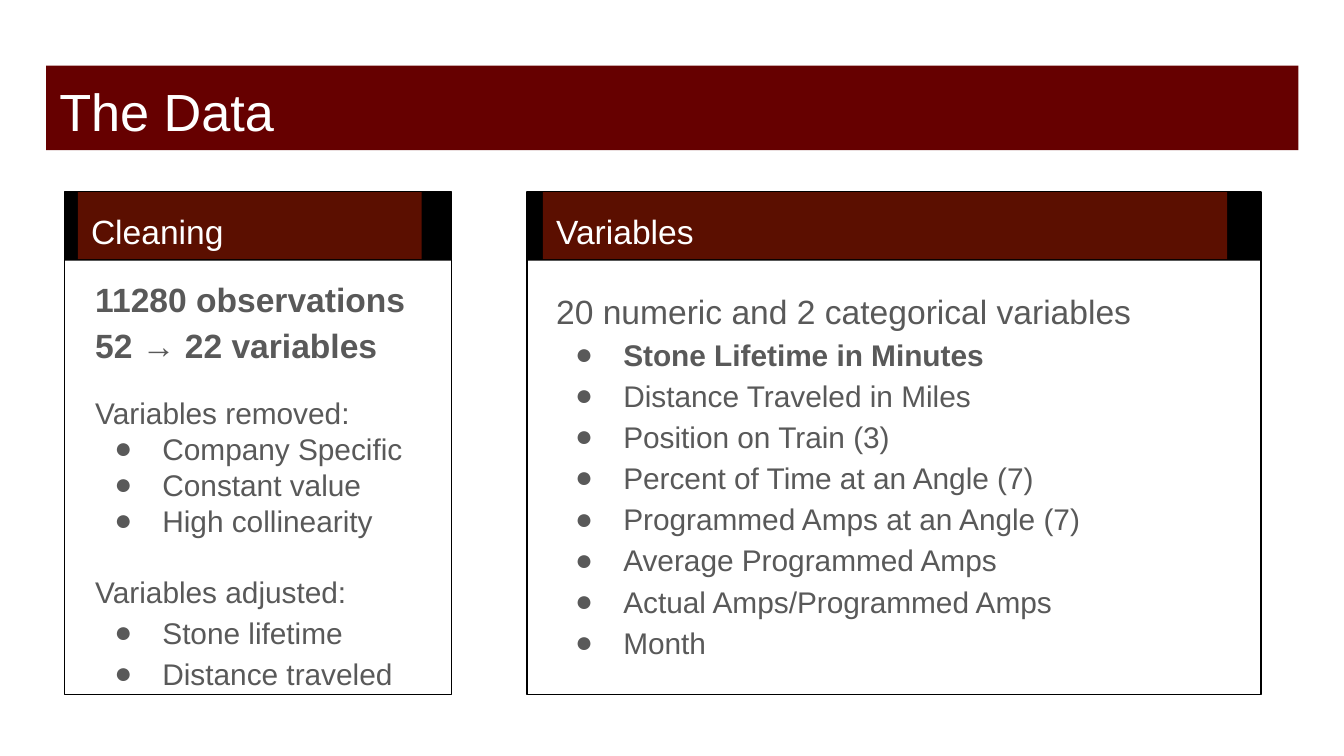
from dataclasses import dataclass

from lxml import etree
from pptx import Presentation
from pptx.dml.color import RGBColor
from pptx.enum.shapes import MSO_SHAPE
from pptx.enum.text import MSO_ANCHOR, MSO_AUTO_SIZE, PP_ALIGN
from pptx.oxml.ns import qn
from pptx.util import Cm, Pt

RECTANGLE = MSO_SHAPE.RECTANGLE
TOP = MSO_ANCHOR.TOP
LEFT = PP_ALIGN.LEFT
NO_AUTOFIT = MSO_AUTO_SIZE.NONE

FONT = "Arial"
COLORS = {
    "title": "660000",
    "header": "5B0F00",
    "frame": "000000",
    "light": "FFFFFF",
    "text": "595959",
}
COMPARISON_LAYOUT = 4
PANEL_TOP, PANEL_HEIGHT, BAND_HEIGHT, HEADER_HEIGHT = 3.63, 9.5, 1.3, 1.27
BODY_HEIGHT = 7.77


@dataclass
class Line:
    text: str
    size: int = 16
    bold: bool = False
    bullet: bool = False
    spacing: float = 1.15
    after: int = 0
    color: str = "text"


@dataclass
class Panel:
    """A framed column; positions are in centimetres."""
    left: float
    width: float
    header_left: float
    header_width: float
    body_left: float
    body_top: float
    body_width: float
    heading: str
    lines: list[Line]
    header_index: int
    body_index: int


PANELS = [
    Panel(1.22, 7.32, 1.47, 6.5, 1.55, 4.9, 6.78, "Cleaning", [
        Line("11280 observations", 18, bold=True),
        Line("52 → 22 variables", 18, bold=True, after=16),
        Line("Variables removed:", spacing=1),
        Line("Company Specific", bullet=True, spacing=1),
        Line("Constant value", bullet=True, spacing=1),
        Line("High collinearity", bullet=True, spacing=1, after=16),
        Line("Variables adjusted:"),
        Line("Stone lifetime", bullet=True),
        Line("Distance traveled", bullet=True, after=16),
    ], 1, 2),
    Panel(9.96, 13.87, 10.26, 12.93, 10.26, 5.13, 12.65, "Variables", [
        Line("20 numeric and 2 categorical variables", 18),
        Line("Stone Lifetime in Minutes", bold=True, bullet=True),
        Line("Distance Traveled in Miles", bullet=True),
        Line("Position on Train (3)", bullet=True),
        Line("Percent of Time at an Angle (7)", bullet=True),
        Line("Programmed Amps at an Angle (7)", bullet=True),
        Line("Average Programmed Amps", bullet=True),
        Line("Actual Amps/Programmed Amps", bullet=True),
        Line("Month", bullet=True, after=16),
    ], 3, 4),
]


def color_of(name: str) -> RGBColor:
    return RGBColor.from_string(COLORS[name])


def fill_shape(shape, color: str) -> None:
    shape.fill.solid()
    shape.fill.fore_color.rgb = color_of(color)


def set_bullet(para, bullet: bool, color: str) -> None:
    properties = para._p.get_or_add_pPr()
    properties.set("marL", str(Cm(1.27) if bullet else 0))
    properties.set("indent", str(Cm(-0.91) if bullet else 0))
    if not bullet:
        etree.SubElement(properties, qn("a:buNone"))
        return
    bullet_color = etree.SubElement(properties, qn("a:buClr"))
    etree.SubElement(bullet_color, qn("a:srgbClr"), val=COLORS[color])
    etree.SubElement(properties, qn("a:buFont"), typeface=FONT)
    etree.SubElement(properties, qn("a:buChar"), char="●")


def write_lines(box, lines: list[Line]) -> None:
    frame = box.text_frame
    frame.word_wrap = True
    frame.auto_size = NO_AUTOFIT
    frame.vertical_anchor = TOP
    frame.margin_left = frame.margin_right = Cm(0.25)
    frame.margin_top = frame.margin_bottom = Cm(0.25)
    for number, line in enumerate(lines):
        para = frame.add_paragraph() if number else frame.paragraphs[0]
        para.text = line.text
        para.alignment = LEFT
        para.line_spacing = line.spacing
        para.space_before = Pt(0)
        para.space_after = Pt(line.after)
        set_bullet(para, line.bullet, line.color)
        para.font.name = FONT
        para.font.size = Pt(line.size)
        para.font.bold = line.bold
        para.font.color.rgb = color_of(line.color)


def place(box, left: float, top: float, width: float, height: float) -> None:
    box.left, box.top = Cm(left), Cm(top)
    box.width, box.height = Cm(width), Cm(height)


def add_rectangle(slide, panel: Panel, height: float):
    """Add a panel-wide rectangle behind the placeholders."""
    box = slide.shapes.add_shape(
        RECTANGLE, Cm(panel.left), Cm(PANEL_TOP), Cm(panel.width), Cm(height))
    box.shadow.inherit = False
    slide.shapes.title.element.addprevious(box.element)
    return box


def draw_panel(slide, panel: Panel) -> None:
    band = add_rectangle(slide, panel, BAND_HEIGHT)
    fill_shape(band, "frame")
    band.line.fill.background()

    outline = add_rectangle(slide, panel, PANEL_HEIGHT)
    outline.fill.background()
    outline.line.color.rgb = color_of("frame")
    outline.line.width = Pt(0.75)

    header = slide.placeholders[panel.header_index]
    place(header, panel.header_left, PANEL_TOP, panel.header_width, HEADER_HEIGHT)
    fill_shape(header, "header")
    write_lines(header, [Line(panel.heading, 18, color="light")])

    body = slide.placeholders[panel.body_index]
    place(body, panel.body_left, panel.body_top, panel.body_width, BODY_HEIGHT)
    write_lines(body, panel.lines)


def main() -> None:
    deck = Presentation()
    deck.slide_width, deck.slide_height = Cm(25.4), Cm(14.29)
    slide = deck.slides.add_slide(deck.slide_layouts[COMPARISON_LAYOUT])

    title = slide.shapes.title
    place(title, 0.87, 1.24, 23.67, 1.6)
    fill_shape(title, "title")
    write_lines(title, [Line("The Data", 28, spacing=1, color="light")])

    for panel in PANELS:
        draw_panel(slide, panel)
    deck.save("out.pptx")


if __name__ == "__main__":
    main()
